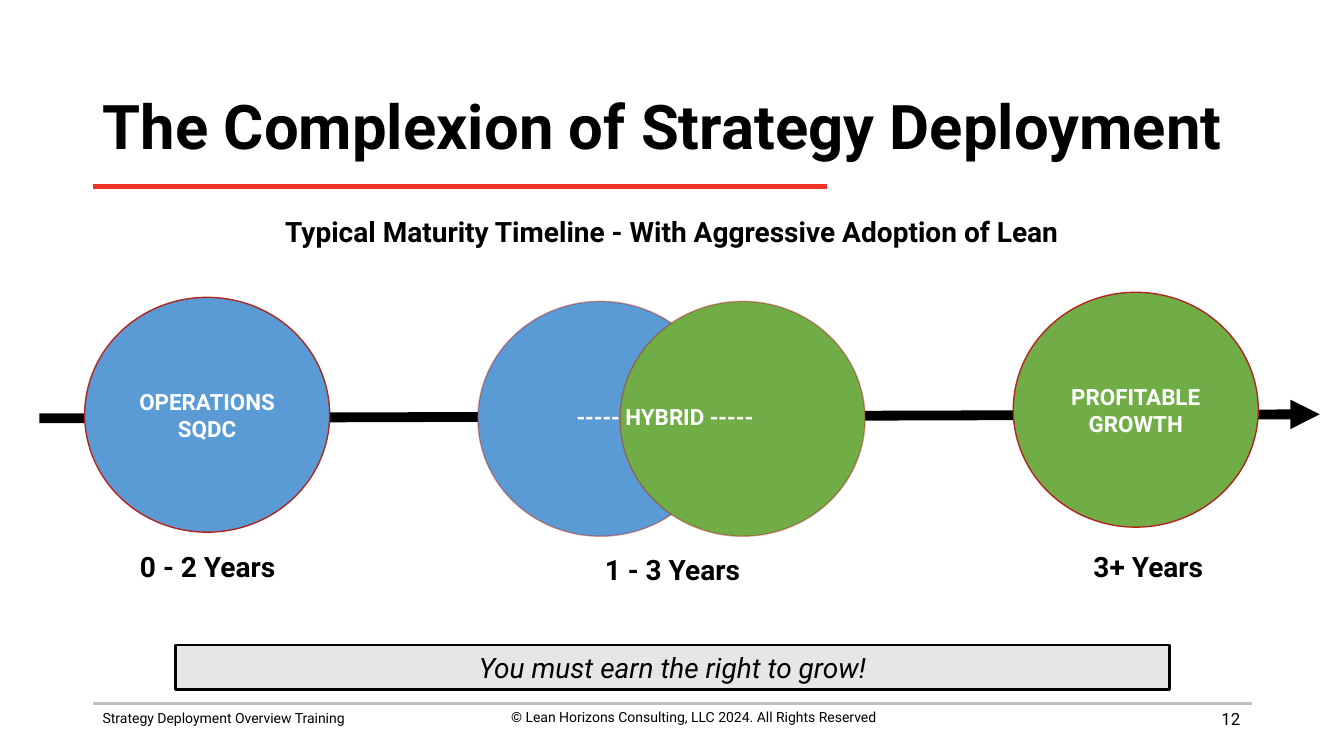
"""Build the Complexion of Strategy Deployment timeline slide."""
from lxml.etree import SubElement
from pptx import Presentation
from pptx.dml.color import RGBColor
from pptx.enum.shapes import MSO_CONNECTOR, MSO_SHAPE
from pptx.enum.text import MSO_ANCHOR as ANCHOR, PP_ALIGN as ALIGN
from pptx.oxml.ns import qn
from pptx.util import Pt

PX = 9144
BLACK = RGBColor(0x00, 0x00, 0x00)
WHITE = RGBColor(0xFF, 0xFF, 0xFF)
GRAY = RGBColor(0xBF, 0xBF, 0xBF)
PALE = RGBColor(0xE7, 0xE6, 0xE6)
RED = RGBColor(0xEE, 0x32, 0x28)
DARK_RED = RGBColor(0xB0, 0x25, 0x1E)
BLUE = RGBColor(0x5B, 0x9B, 0xD5)
GREEN = RGBColor(0x70, 0xAD, 0x47)

prs = Presentation()
prs.slide_width, prs.slide_height = 1333 * PX, 750 * PX
s = prs.slides.add_slide(prs.slide_layouts[6])


def add_text(text, box=None, shape=None, size=20, color=BLACK, bold=False, italic=False,
             align=ALIGN.CENTER, anchor=ANCHOR.TOP, wrap=True, spacing=None):
    sp = shape or s.shapes.add_textbox(*[v * PX for v in box])
    tf = sp.text_frame
    tf.word_wrap = wrap
    tf.vertical_anchor = anchor
    for i, line in enumerate(text.split("\n")):
        p = tf.add_paragraph() if i else tf.paragraphs[0]
        p.alignment = align
        p.line_spacing = spacing
        r = p.add_run()
        r.text = line
        r.font.name, r.font.size = "Roboto", Pt(size)
        r.font.bold, r.font.italic = bold, italic
        r.font.color.rgb = color


def add_shape(kind, box, fill, line, width):
    sp = s.shapes.add_shape(kind, *[v * PX for v in box])
    sp.shadow.inherit = False
    sp.fill.solid()
    sp.fill.fore_color.rgb = fill
    sp.line.color.rgb = line
    sp.line.width = Pt(width)
    return sp


lines = []
for x1, y1, x2, y2, color, width in [
    (92, 698, 1242, 698, GRAY, 2),
    (92, 185, 820, 185, RED, 3),
    (39, 415, 1309, 411, BLACK, 7),
]:
    c = s.shapes.add_connector(MSO_CONNECTOR.STRAIGHT, x1 * PX, y1 * PX, x2 * PX, y2 * PX)
    c.line.color.rgb = color
    c.line.width = Pt(width)
    SubElement(c._element.spPr, qn("a:effectLst"))
    lines.append(c)
timeline = lines[-1]
SubElement(timeline.line._get_or_add_ln(), qn("a:tailEnd"), type="triangle")

add_text("Strategy Deployment Overview Training", (92, 699, 456, 44), size=10, align=ALIGN.LEFT)
add_text("© Lean Horizons Consulting, LLC 2024. All Rights Reserved", (460, 698, 456, 44), size=10)
add_text("12", (940, 693, 300, 40), size=12, align=ALIGN.RIGHT, anchor=ANCHOR.MIDDLE)

add_text("The Complexion of Strategy Deployment", (92, 74, 1150, 110), size=44, bold=True,
         align=ALIGN.LEFT, anchor=ANCHOR.MIDDLE, spacing=0.9)
add_text("Typical Maturity Timeline - With Aggressive Adoption of Lean", (172, 208, 989, 44),
         bold=True)

banner = add_shape(MSO_SHAPE.RECTANGLE, (174, 640, 986, 44), PALE, BLACK, 2)
add_text("You must earn the right to grow!", shape=banner, italic=True, anchor=ANCHOR.BOTTOM)

for x, y, fill, label in [
    (84, 295, BLUE, "OPERATIONS\nSQDC"),
    (1005, 290, GREEN, "PROFITABLE\nGROWTH"),
    (474, 299, BLUE, None),
    (615, 299, GREEN, None),
]:
    circle = add_shape(MSO_SHAPE.OVAL, (x, y, 243, 233), fill, DARK_RED, 1)
    if label:
        add_text(label, shape=circle, size=16, color=WHITE, bold=True, anchor=ANCHOR.MIDDLE)
    else:
        outline = circle.line._get_or_add_ln().find(".//" + qn("a:srgbClr"))
        SubElement(outline, qn("a:alpha"), val="46000")

add_text("----- HYBRID -----", (562, 395, 198, 37), size=16, color=WHITE, bold=True,
         align=ALIGN.LEFT, wrap=False)

for x, y, years in [(109, 540, "0 - 2 Years"), (570, 543, "1 - 3 Years"), (1042, 540, "3+ Years")]:
    add_text(years, (x, y, 194, 44), bold=True)

prs.save("out.pptx")
